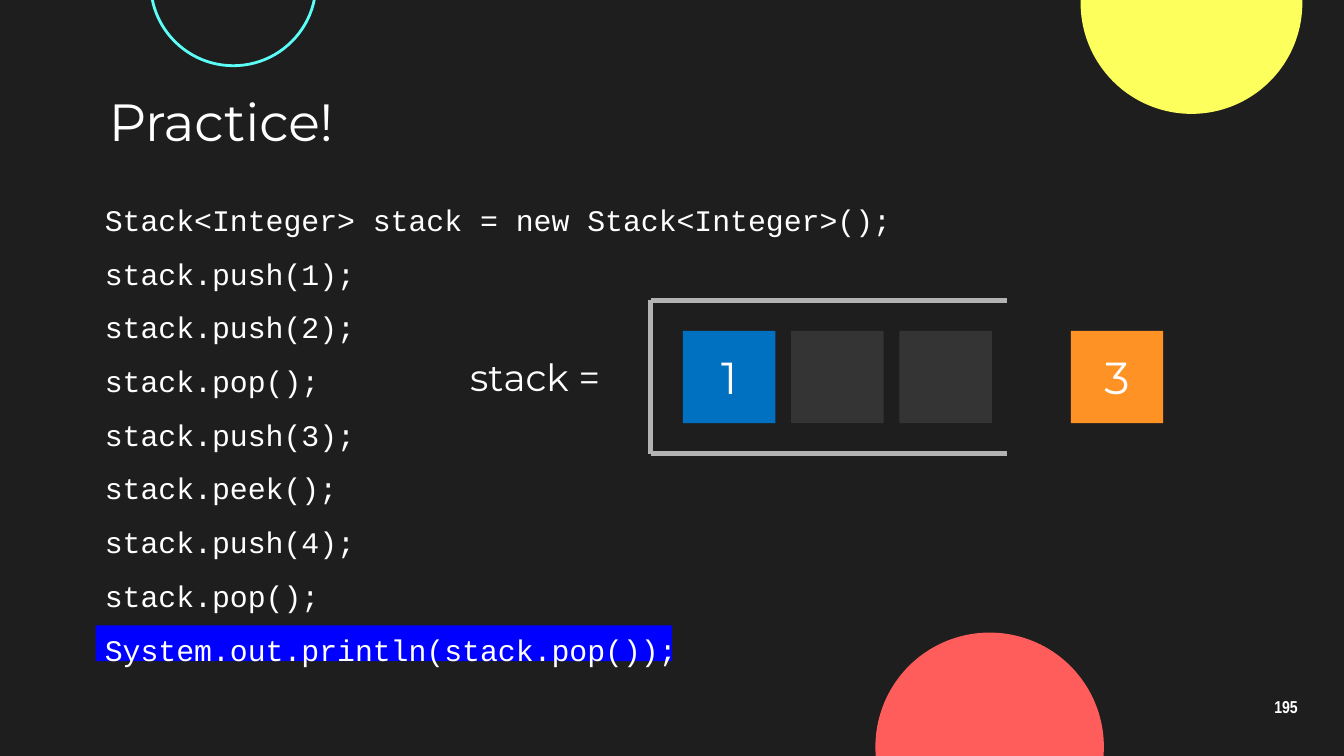
from pptx import Presentation
from pptx.dml.color import RGBColor
from pptx.enum.shapes import MSO_CONNECTOR, MSO_SHAPE
from pptx.enum.text import MSO_ANCHOR, PP_ALIGN
from pptx.oxml.ns import qn
from pptx.util import Pt
from lxml import etree

OVAL, RECT = MSO_SHAPE.OVAL, MSO_SHAPE.RECTANGLE
STRAIGHT = MSO_CONNECTOR.STRAIGHT
TOP, MIDDLE = MSO_ANCHOR.TOP, MSO_ANCHOR.MIDDLE
LEFT, CENTER = PP_ALIGN.LEFT, PP_ALIGN.CENTER
SANS, MONO, NARROW = "Montserrat", "Courier New", "Arial Narrow"
COLORS = {
    "background": "1E1E1E", "text": "FFFFFF", "yellow": "FDFF5C",
    "cyan": "5CFFF8", "red": "FF5C5C", "highlight": "0000FF",
    "empty": "343434", "blue": "0070C0", "orange": "FF9225", "tray": "B3B3B3",
}
CODE = [
    "Stack<Integer> stack = new Stack<Integer>();",
    "stack.push(1);",
    "stack.push(2);",
    "stack.pop();",
    "stack.push(3);",
    "stack.peek();",
    "stack.push(4);",
    "stack.pop();",
    "System.out.println(stack.pop());",
]
INSET = 7.2


def rgb(color):
    """Look up a palette colour."""
    return RGBColor.from_string(COLORS[color])


def add_figure(slide, preset, box, fill=None, outline=None):
    """Add a flat shape with an optional fill and outline."""
    figure = slide.shapes.add_shape(preset, *map(Pt, box))
    figure.shadow.inherit = False
    if fill:
        figure.fill.solid()
        figure.fill.fore_color.rgb = rgb(fill)
    else:
        figure.fill.background()
    if outline:
        figure.line.color.rgb = rgb(outline)
        figure.line.width = Pt(1.5)
    else:
        figure.line.fill.background()
    return figure


def write(frame, lines, font, size, align=LEFT, anchor=MIDDLE, spacing=None, bold=False):
    """Fill a text frame with one paragraph per line."""
    frame.word_wrap = True
    frame.vertical_anchor = anchor
    for index, line in enumerate(lines):
        paragraph = frame.paragraphs[0] if index == 0 else frame.add_paragraph()
        paragraph.alignment = align
        paragraph.line_spacing = spacing
        run = paragraph.add_run()
        run.text = line
        run.font.name, run.font.size, run.font.bold = font, Pt(size), bold
        run.font.color.rgb = rgb("text")


def add_label(slide, box, lines, font, size, indent=0, **style):
    """Add a text box with even insets and an optional left indent."""
    frame = slide.shapes.add_textbox(*map(Pt, box)).text_frame
    frame.margin_left = Pt(INSET + indent)
    frame.margin_right = frame.margin_top = frame.margin_bottom = Pt(INSET)
    write(frame, lines, font, size, **style)


def add_decor(slide):
    """Place the circles cut off by the slide edges."""
    add_figure(slide, OVAL, (578.9, -57.8, 118.8, 118.8), fill="yellow")
    add_figure(slide, OVAL, (80.7, -53.4, 88.6, 88.6), outline="cyan")
    add_figure(slide, OVAL, (469, 338.9, 122.4, 122.4), fill="red")


def add_code(slide, box):
    """Place the code listing with its last line highlighted."""
    left, top, width, height = box
    add_figure(slide, RECT, (left + 13, top + 147.9, 308.9, 19.1), fill="highlight")
    add_label(slide, box, CODE, MONO, 16, indent=10.8, spacing=1.5)


def add_cell(slide, left, top, fill, value=None):
    """Place one square of the stack."""
    cell = add_figure(slide, RECT, (left, top, 49.5, 49.5), fill=fill)
    if value:
        write(cell.text_frame, [value], SANS, 24, align=CENTER)


def add_stack(slide, box):
    """Draw the open tray, its cells, its name and the popped value."""
    left, top, width, height = box
    right, bottom = left + width, top + height
    cell_top = top + (height - 49.5) / 2
    cells = [("blue", "1"), ("empty", None), ("empty", None)]
    for index, (fill, value) in enumerate(cells):
        add_cell(slide, left + 17.4 + 58 * index, cell_top, fill, value)
    add_cell(slide, right + 34.2, cell_top, "orange", "3")
    sides = [
        (left, top, right, top),
        (left, top, left, bottom),
        (left, bottom, right, bottom),
    ]
    for ends in sides:
        side = slide.shapes.add_connector(STRAIGHT, *map(Pt, ends))
        side.line.color.rgb = rgb("tray")
        side.line.width = Pt(3)
        etree.SubElement(side._element.spPr, qn("a:effectLst"))
    add_label(slide, (left - 103.7, top + 21.6, 94.3, 36.7), ["stack ="], SANS, 20, anchor=TOP)


def main():
    """Build the stack practice slide."""
    deck = Presentation()
    deck.slide_width, deck.slide_height = Pt(720), Pt(405)
    slide = deck.slides.add_slide(deck.slide_layouts[6])
    slide.background.fill.solid()
    slide.background.fill.fore_color.rgb = rgb("background")
    add_decor(slide)
    add_label(slide, (51.3, 46.1, 213.8, 36.7), ["Practice!"], SANS, 28)
    add_code(slide, (38.2, 187.2, 508.3, 81.4))
    add_stack(slide, (348.5, 161, 191, 82))
    add_label(slide, (667.4, 367.2, 43.2, 24.5), ["195"], NARROW, 9.2,
              align=CENTER, spacing=0.9, bold=True)
    deck.save("out.pptx")


if __name__ == "__main__":
    main()
